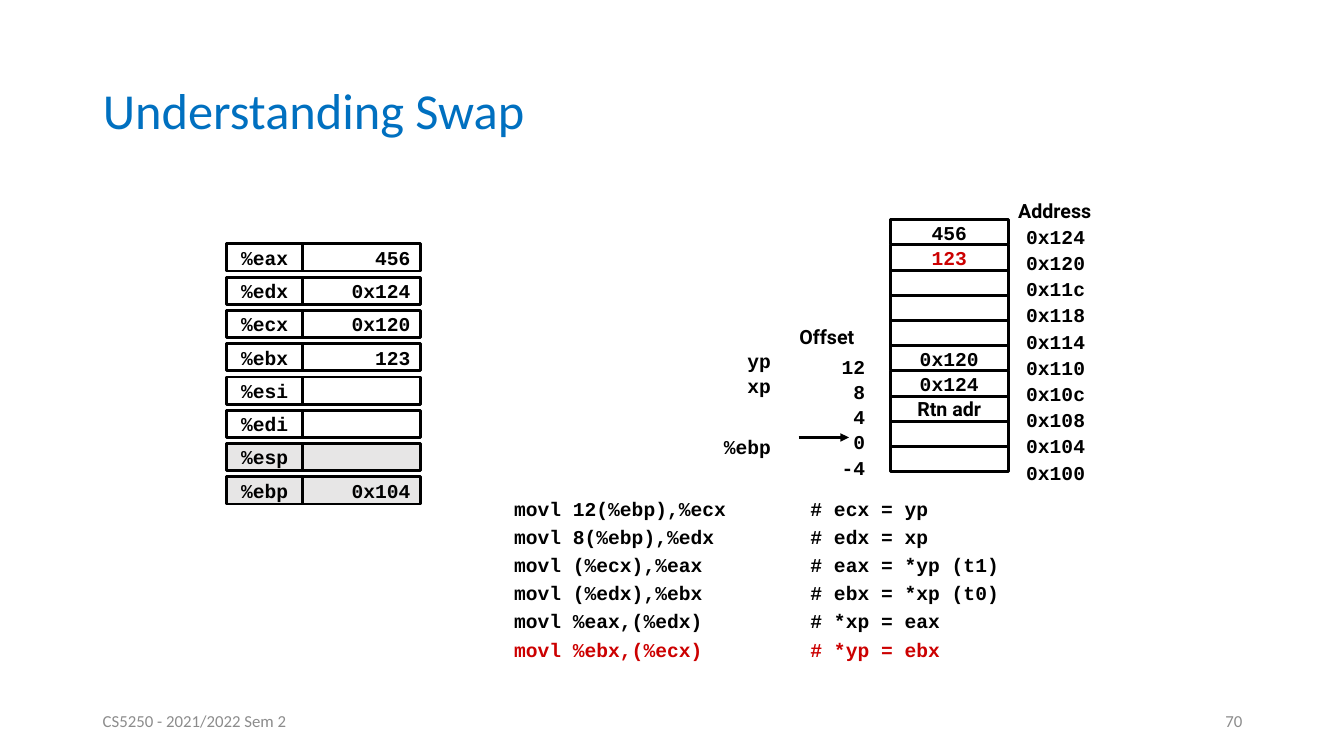
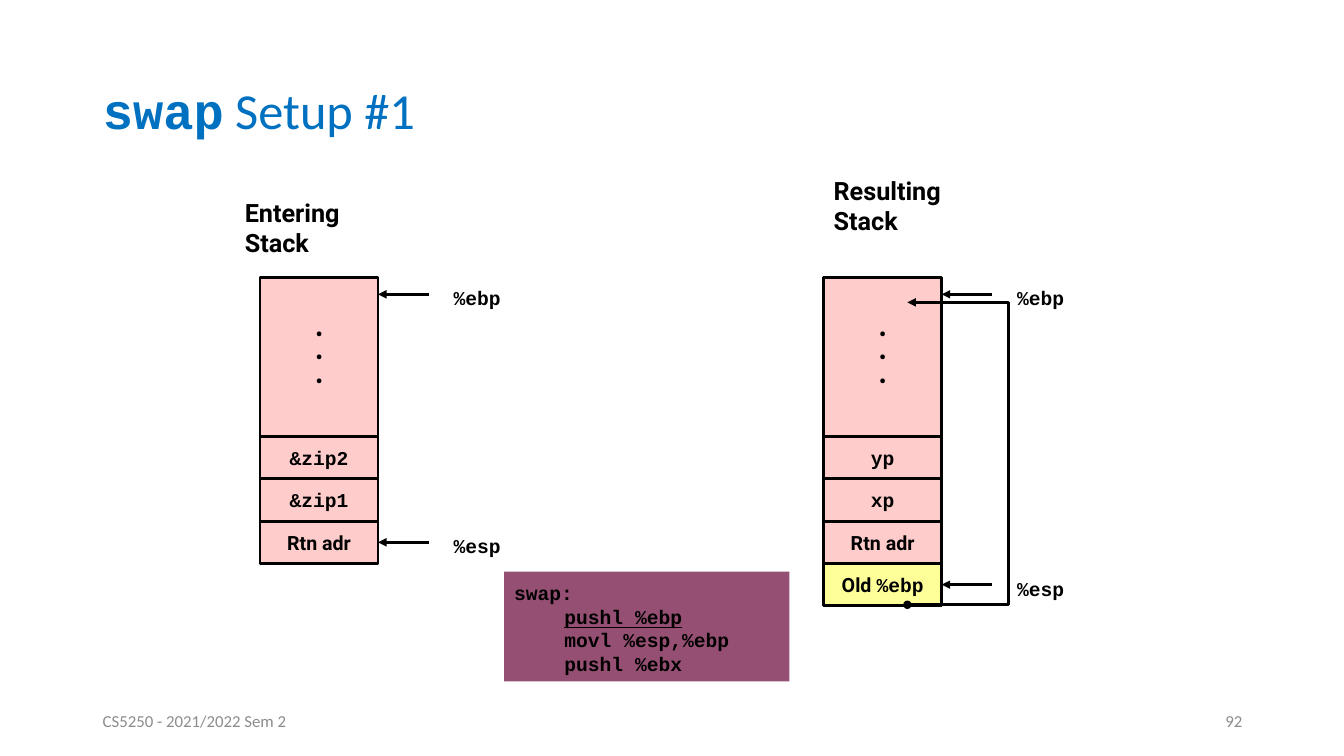
"""Builds two slides on the registers and the stack of a swap function."""
from dataclasses import dataclass

from lxml import etree
from pptx import Presentation
from pptx.dml.color import RGBColor
from pptx.enum.shapes import MSO_CONNECTOR, MSO_SHAPE
from pptx.enum.text import MSO_ANCHOR, PP_ALIGN
from pptx.oxml.ns import qn
from pptx.util import Inches, Pt

LEFT, CENTER, RIGHT = PP_ALIGN.LEFT, PP_ALIGN.CENTER, PP_ALIGN.RIGHT
TOP, MIDDLE = MSO_ANCHOR.TOP, MSO_ANCHOR.MIDDLE
RECTANGLE, STRAIGHT = MSO_SHAPE.RECTANGLE, MSO_CONNECTOR.STRAIGHT


@dataclass(frozen=True)
class Theme:
    title: str = "0070C0"
    footer: str = "8C8C8C"
    ink: str = "000000"
    accent: str = "CC0000"
    white: str = "FFFFFF"
    gray: str = "E7E6E6"
    pink: str = "FFCCCC"
    yellow: str = "FFFF99"
    purple: str = "954F72"
    title_font: str = "Calibri"
    code_font: str = "Courier New"
    label_font: str = "Roboto"
    title_size: int = 36
    heading_size: int = 18
    body_size: int = 14
    footer_size: int = 12
    line_width: int = 2


theme = Theme()


def add_text(slide, at, paragraphs, box=None, fill=None, outline=True, align=LEFT, anchor=TOP,
             spacing=None, tab=None, **font):
    """Fill a text box, a filled rectangle or a given box; a paragraph is a string or a list of (text, format) runs."""
    if box is None:
        place = [Inches(length) for length in at]
        if fill:
            box = slide.shapes.add_shape(RECTANGLE, *place)
            box.shadow.inherit = False
            box.fill.solid()
            box.fill.fore_color.rgb = RGBColor.from_string(fill)
            if outline:
                box.line.color.rgb = RGBColor.from_string(theme.ink)
                box.line.width = Pt(theme.line_width)
            else:
                box.line.fill.background()
        else:
            box = slide.shapes.add_textbox(*place)
    frame = box.text_frame
    frame.word_wrap = True
    frame.vertical_anchor = anchor
    for index, runs in enumerate(paragraphs):
        para = frame.add_paragraph() if index else frame.paragraphs[0]
        if tab:
            tabs = etree.SubElement(para._p.get_or_add_pPr(), qn("a:tabLst"))
            etree.SubElement(tabs, qn("a:tab"), pos=str(Inches(tab)), algn="l")
        para.alignment = align
        if spacing:
            para.line_spacing = spacing
        for text, changes in [(runs, {})] if isinstance(runs, str) else runs:
            look = {"name": theme.code_font, "size": theme.body_size, "color": theme.ink,
                    "bold": True, "underline": False, **font, **changes}
            span = para.add_run()
            span.text = text
            span.font.name = look["name"]
            span.font.size = Pt(look["size"])
            span.font.bold = look["bold"]
            span.font.underline = look["underline"]
            span.font.color.rgb = RGBColor.from_string(look["color"])
    return box


def style_arrow(shape, head=None):
    """Give a connector or an open outline its colour, width and ends."""
    shape.line.color.rgb = RGBColor.from_string(theme.ink)
    shape.line.width = Pt(theme.line_width)
    line = shape.get_or_add_ln()
    if head:
        etree.SubElement(line, qn("a:headEnd"), type=head)
    etree.SubElement(line, qn("a:tailEnd"), type="triangle")
    etree.SubElement(shape._element.spPr, qn("a:effectLst"))


deck = Presentation()
deck.slide_width, deck.slide_height = Inches(13.33), Inches(7.5)
layout = deck.slide_layouts[5]
layout_title = layout.placeholders[0]
layout_title.left, layout_title.top = Inches(0.92), Inches(0.4)
layout_title.width, layout_title.height = Inches(11.5), Inches(1.45)

pages = []
for title, number in [
    (["Understanding Swap"], "70"),
    ([[("swap", {"name": theme.code_font, "bold": True}), (" Setup #1", {})]], "92"),
]:
    page = deck.slides.add_slide(layout)
    add_text(page, None, title, box=page.shapes.title, anchor=MIDDLE, spacing=0.9,
             name=theme.title_font, size=theme.title_size, color=theme.title, bold=False)
    for left, text, align in [(0.92, "CS5250 - 2021/2022 Sem 2", LEFT), (9.42, number, RIGHT)]:
        add_text(page, (left, 6.95, 3, 0.4), [text], align=align, anchor=MIDDLE,
                 name=theme.title_font, size=theme.footer_size, color=theme.footer, bold=False)
    pages.append(page)
swap_page, setup_page = pages

code = [
    "movl 12(%ebp),%ecx\t# ecx = yp",
    "movl 8(%ebp),%edx\t# edx = xp",
    "movl (%ecx),%eax\t# eax = *yp (t1)",
    "movl (%edx),%ebx\t# ebx = *xp (t0)",
    "movl %eax,(%edx)\t# *xp = eax",
    [("movl %ebx,(%ecx)\t# *yp = ebx", {"color": theme.accent})],
]
add_text(swap_page, (5, 4.83, 6, 1.79), code, spacing=1.2, tab=2.94)

memory = [
    ("0x124", "456", {}),
    ("0x120", "123", {"color": theme.accent}),
    ("0x11c", "", {}),
    ("0x118", "", {}),
    ("0x114", "", {}),
    ("0x110", "0x120", {}),
    ("0x10c", "0x124", {}),
    ("0x108", "Rtn adr", {"name": theme.label_font}),
    ("0x104", "", {}),
    ("0x100", "", {}),
]
for row, (address, value, look) in enumerate(memory):
    add_text(swap_page, (8.83, 2.18 + 0.25 * row, 1.17, 0.25), [value] if value else [],
             fill=theme.white, align=CENTER, anchor=MIDDLE, **look)
    add_text(swap_page, (10.08, 2.18 + 0.26 * row, 1.33, 0.34), [address])
for row, offset in enumerate(["12", "8", "4", "0", "-4"]):
    add_text(swap_page, (8.05, 3.47 + 0.25 * row, 0.63, 0.34), [offset], align=RIGHT)
for left, top, heading in [(7.83, 3.17, "Offset"), (10, 1.92, "Address")]:
    add_text(swap_page, (left, top, 1, 0.34), [heading], name=theme.label_font)
for top, pointer in [(3.44, "yp"), (3.69, "xp")]:
    add_text(swap_page, (7.17, top, 0.72, 0.31), [pointer], align=CENTER, spacing=0.9)
add_text(swap_page, (7.08, 4.27, 0.75, 0.33), ["%ebp"])
base_arrow = swap_page.shapes.add_connector(
    STRAIGHT, Inches(7.92), Inches(4.34), Inches(8.42), Inches(4.34))
style_arrow(base_arrow)

registers = [("%eax", "456"), ("%edx", "0x124"), ("%ecx", "0x120"), ("%ebx", "123"),
             ("%esi", ""), ("%edi", ""), ("%esp", ""), ("%ebp", "0x104")]
for row, (register, value) in enumerate(registers):
    top = 2.42 + 0.33 * row
    fill = theme.gray if register in ("%esp", "%ebp") else theme.white
    add_text(swap_page, (2.25, top, 0.75, 0.27), [register], fill=fill, align=CENTER, anchor=MIDDLE)
    add_text(swap_page, (3, top, 1.17, 0.27), [value] if value else [], fill=fill, align=RIGHT,
             anchor=MIDDLE)

setup_code = ["swap:", [("pushl %ebp", {"underline": True})], "movl %esp,%ebp", "pushl %ebx"]
code_box = add_text(setup_page, (5, 5.67, 2.83, 1.09), setup_code, fill=theme.purple, outline=False)
label_para, *instructions = code_box.text_frame.paragraphs
label_para.line_spacing = 1.2
for para in instructions:
    para._p.get_or_add_pPr().set("marL", str(Inches(0.5)))

label = {"name": theme.label_font}
return_cell = ([[("Rtn adr", label)]], theme.pink)
old_cell = ([[("Old ", label), ("%ebp", {})]], theme.yellow)
stacks = [
    (2.58, "Entering", (2.33, 1.91),
     [(["&zip2"], theme.pink), (["&zip1"], theme.pink), return_cell]),
    (8.17, "Resulting", (8.17, 1.69),
     [(["yp"], theme.pink), (["xp"], theme.pink), return_cell, old_cell]),
]
stack_top, cell_top, cell_width, cell_height = 2.75, 4.33, 1.17, 0.42
for left, heading, corner, cells in stacks:
    add_text(setup_page, (*corner, 2, 0.7), [heading, "Stack"], name=theme.label_font,
             size=theme.heading_size)
    add_text(setup_page, (left, stack_top, cell_width, cell_top - stack_top), ["•"] * 3,
             fill=theme.pink, align=CENTER, anchor=MIDDLE, name=theme.label_font)
    for row, (text, fill) in enumerate(cells):
        top = cell_top + cell_height * row
        last_cell = add_text(setup_page, (left, top, cell_width, cell_height), text, fill=fill,
                             align=CENTER, anchor=MIDDLE)
    edge = left + cell_width
    for register, height, target in [("%ebp", 2.92, None),
                                     ("%esp", top + cell_height / 2, last_cell)]:
        arrow = setup_page.shapes.add_connector(
            STRAIGHT, Inches(edge + 0.5), Inches(height), Inches(edge), Inches(height))
        if target:
            arrow.end_connect(target, 3)
        style_arrow(arrow)
        add_text(setup_page, (edge + 0.65, height - 0.13, 0.75, 0.33), [register])

curve_start = (9.17, 5.67)
curves = [
    ((9.34, 5.67), (9.51, 5.67), (9.67, 5.58)),
    ((9.82, 5.5), (9.99, 5.36), (10.08, 5.17)),
    ((10.18, 4.97), (10.24, 4.67), (10.25, 4.42)),
    ((10.26, 4.17), (10.25, 3.89), (10.17, 3.67)),
    ((10.08, 3.44), (9.89, 3.21), (9.75, 3.08)),
    ((9.61, 2.96), (9.4, 2.94), (9.33, 2.92)),
]
steps = 8
points = []
start = curve_start
for first, second, end in curves:
    for step in range(1, steps + 1):
        t = step / steps
        points.append(tuple(
            (1 - t) ** 3 * a + 3 * (1 - t) ** 2 * t * b + 3 * (1 - t) * t ** 2 * c + t ** 3 * d
            for a, b, c, d in zip(start, first, second, end)))
    start = end
outline = setup_page.shapes.build_freeform(*curve_start, scale=Inches(1))
outline.add_line_segments(points, close=False)
saved_pointer = outline.convert_to_shape()
saved_pointer.fill.background()
style_arrow(saved_pointer, head="oval")

deck.save("out.pptx")
